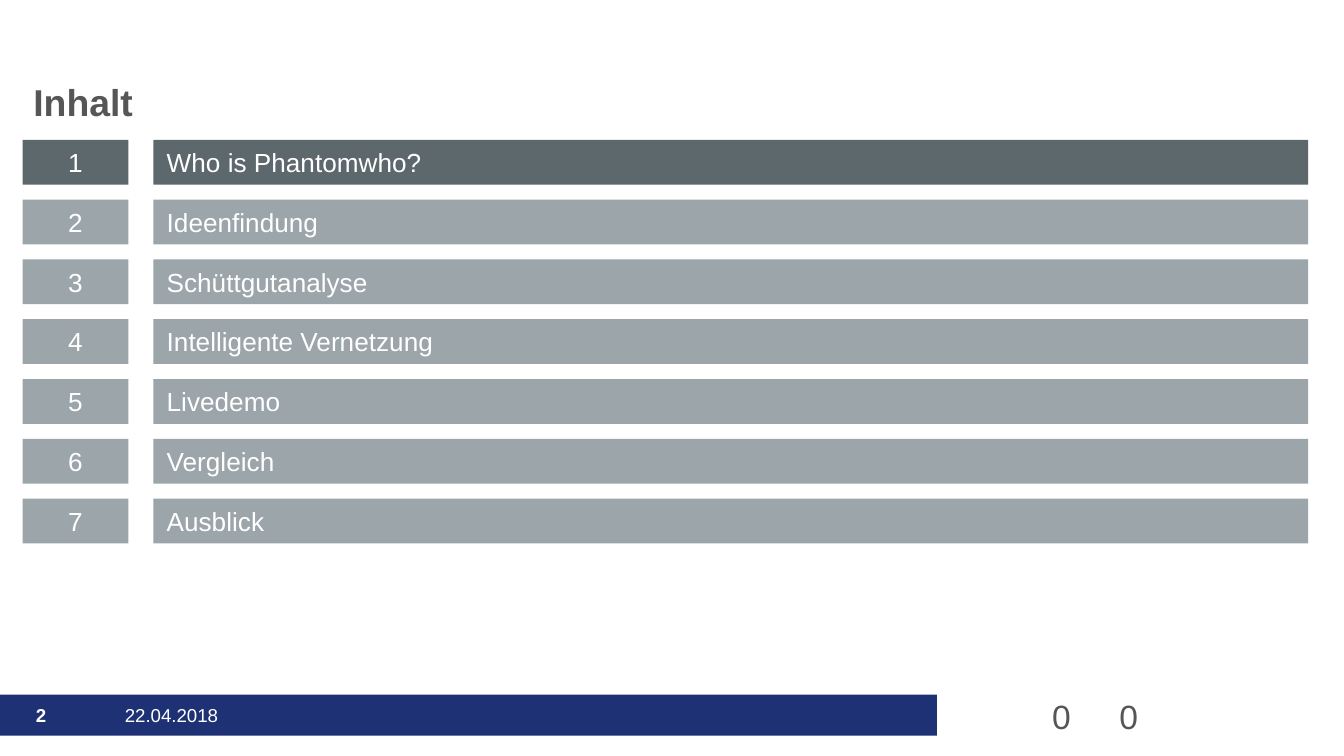
from dataclasses import dataclass

from pptx import Presentation
from pptx import util as u
from pptx.dml import color
from pptx.enum import shapes, text


@dataclass(frozen=True)
class Theme:
    font: str = "Arial"
    white: str = "FFFFFF"
    ink: str = "575656"
    navy: str = "1D3174"
    active: str = "5D686D"
    inactive: str = "9BA5AA"
    title_size: int = 20
    counter_size: int = 18
    entry_size: int = 14
    footer_size: int = 10


THEME = Theme()
TOPICS = ["Who is Phantomwho?", "Ideenfindung", "Schüttgutanalyse",
          "Intelligente Vernetzung", "Livedemo", "Vergleich", "Ausblick"]
ACTIVE_TOPIC = 1
ROW_TOP, ROW_PITCH, ROW_HEIGHT = 74.9, 32.04, 24
NUMBER_LEFT, NUMBER_WIDTH = 12.1, 56.7
TOPIC_LEFT, TOPIC_WIDTH = 82.2, 618.6
FOOTER_TOP, FOOTER_HEIGHT = 372.2, 22


def write(box, words, size, ink, bold=False, align="LEFT", anchor="TOP"):
    frame = box.text_frame
    frame_format = {"word_wrap": True,
                    "vertical_anchor": getattr(text.MSO_ANCHOR, anchor)}
    for name, value in frame_format.items():
        setattr(frame, name, value)
    para = frame.paragraphs[0]
    para.alignment = getattr(text.PP_ALIGN, align)
    span = para.add_run()
    span.text = words
    font_format = {"name": THEME.font, "size": u.Pt(size), "bold": bold}
    for name, value in font_format.items():
        setattr(span.font, name, value)
    span.font.color.rgb = color.RGBColor.from_string(ink)


def add_bar(page, left, top, width, height, fill):
    bar = page.shapes.add_shape(shapes.MSO_SHAPE.RECTANGLE,
                                *map(u.Pt, (left, top, width, height)))
    bar.shadow.inherit = False
    bar.fill.solid()
    bar.fill.fore_color.rgb = color.RGBColor.from_string(fill)
    bar.line.fill.background()
    return bar


def add_label(page, left, top, width, height, words, size, ink, **style):
    box = page.shapes.add_textbox(*map(u.Pt, (left, top, width, height)))
    write(box, words, size, ink, **style)


def add_agenda_row(page, number, topic):
    top = ROW_TOP + (number - 1) * ROW_PITCH
    fill = THEME.active if number == ACTIVE_TOPIC else THEME.inactive
    cells = [(NUMBER_LEFT, NUMBER_WIDTH, str(number), "CENTER"),
             (TOPIC_LEFT, TOPIC_WIDTH, topic, "LEFT")]
    for left, width, words, align in cells:
        bar = add_bar(page, left, top, width, ROW_HEIGHT, fill)
        write(bar, words, THEME.entry_size, THEME.white, align=align)


def add_footer(page):
    add_bar(page, -0.7, FOOTER_TOP, 502.6, FOOTER_HEIGHT, THEME.navy)
    entries = [(59.8, 85, "22.04.2018", False), (12.2, 42.5, "2", True)]
    for left, width, words, bold in entries:
        add_label(page, left, FOOTER_TOP, width, FOOTER_HEIGHT, words,
                  THEME.footer_size, THEME.white, bold=bold, anchor="MIDDLE")
    add_label(page, 556.6, 369.4, 170.6, 29, "0\t0",
              THEME.counter_size, THEME.ink)


def main():
    deck = Presentation()
    deck.slide_width, deck.slide_height = u.Pt(720), u.Pt(405)
    page = deck.slides.add_slide(deck.slide_layouts[6])
    add_label(page, 10.8, 39.8, 513.4, 29, "Inhalt", THEME.title_size,
              THEME.ink, bold=True, anchor="MIDDLE")
    for number, topic in enumerate(TOPICS, start=1):
        add_agenda_row(page, number, topic)
    add_footer(page)
    deck.save("out.pptx")


if __name__ == "__main__":
    main()
